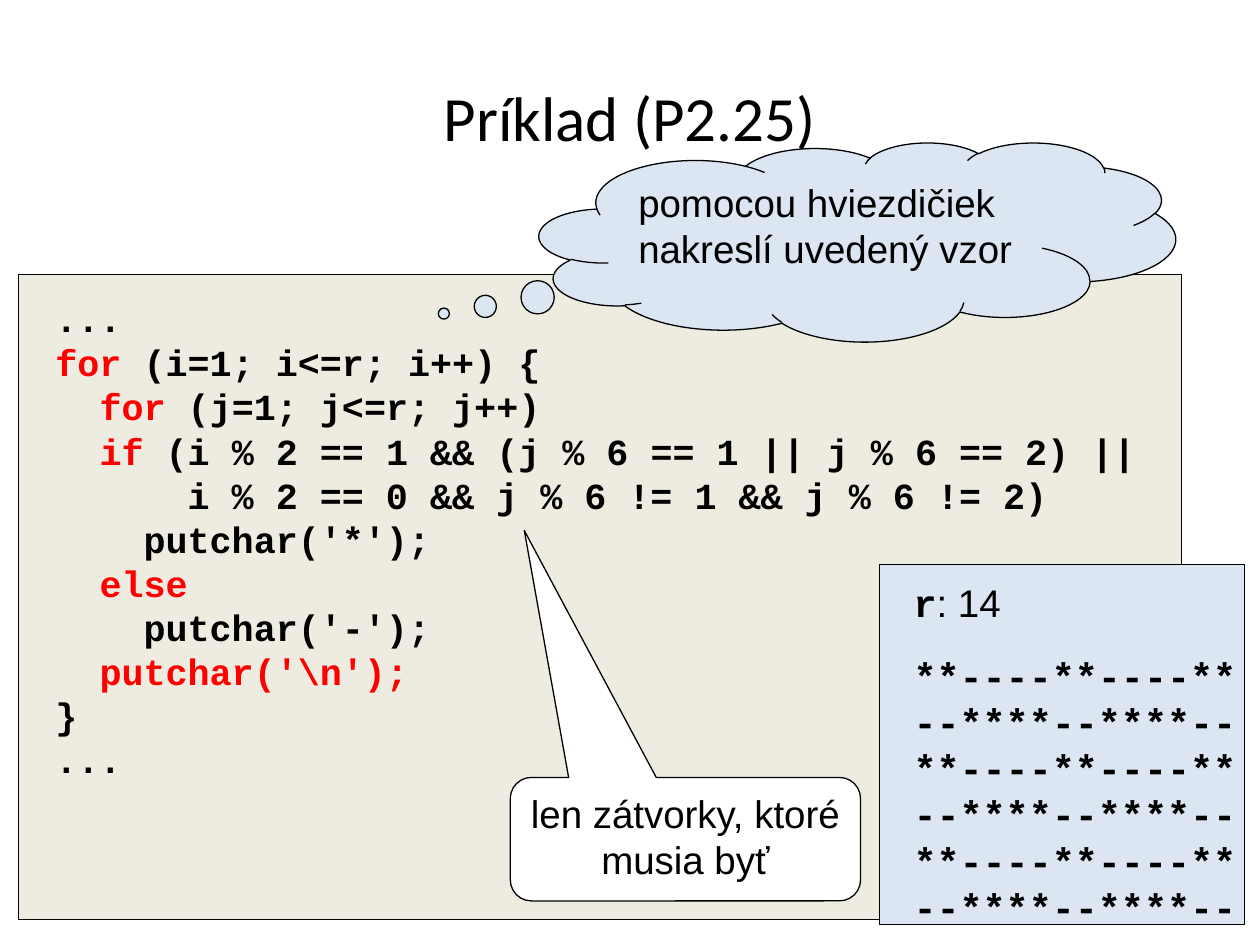
from typing import NamedTuple

from pptx import Presentation
from pptx.dml.color import RGBColor
from pptx.enum.shapes import MSO_SHAPE
from pptx.enum.text import MSO_ANCHOR, PP_ALIGN
from pptx.util import Inches, Pt

RECTANGLE = MSO_SHAPE.RECTANGLE
CLOUD = MSO_SHAPE.CLOUD_CALLOUT
SPEECH = MSO_SHAPE.ROUNDED_RECTANGULAR_CALLOUT
LEFT, CENTER = PP_ALIGN.LEFT, PP_ALIGN.CENTER
TOP, MIDDLE = MSO_ANCHOR.TOP, MSO_ANCHOR.MIDDLE

BLACK, WHITE, RED = "000000", "FFFFFF", "FF0000"
BEIGE, PALE_BLUE = "EEECE1", "DCE6F2"
SANS, MONO = "Arial", "Courier New"


class Box(NamedTuple):
    left: float
    top: float
    width: float
    height: float


class CodeLine(NamedTuple):
    """A line of code: plain indent, red part, black remainder."""
    indent: str
    red: str
    rest: str


CODE = [
    CodeLine("", "", "..."),
    CodeLine("", "for", " (i=1; i<=r; i++) {"),
    CodeLine("  ", "for", " (j=1; j<=r; j++)"),
    CodeLine("  ", "if ", "(i % 2 == 1 && (j % 6 == 1 || j % 6 == 2) ||"),
    CodeLine("      ", "", "i % 2 == 0 && j % 6 != 1 && j % 6 != 2)"),
    CodeLine("    ", "", "putchar('*');"),
    CodeLine("  ", "else", ""),
    CodeLine("    ", "", "putchar('-');"),
    CodeLine("  ", "putchar('\\n');", ""),
    CodeLine("", "", "}"),
    CodeLine("", "", "..."),
]
PATTERN = ["**----**----**", "--****--****--"] * 3


def rgb(colour: str) -> RGBColor:
    return RGBColor.from_string(colour)


def set_font(target, size: float, name: str, bold: bool = False) -> None:
    font = target.font
    font.size, font.name, font.bold = Pt(size), name, bold
    font.color.rgb = rgb(BLACK)


def set_frame(frame, wrap: bool, anchor) -> None:
    frame.word_wrap = wrap
    frame.vertical_anchor = anchor
    frame.margin_left = frame.margin_right = Inches(0.09)
    frame.margin_top = frame.margin_bottom = Inches(0.05)


def add_panel(slide, kind, box: Box, fill: str, adjustments=()):
    panel = slide.shapes.add_shape(kind, *map(Inches, box))
    panel.shadow.inherit = False
    panel.fill.solid()
    panel.fill.fore_color.rgb = rgb(fill)
    panel.line.color.rgb = rgb(BLACK)
    panel.line.width = Pt(0.75)
    for index, value in enumerate(adjustments):
        panel.adjustments[index] = value
    return panel


def add_callout(slide, kind, box: Box, fill: str, adjustments, text: str, align) -> None:
    frame = add_panel(slide, kind, box, fill, adjustments).text_frame
    set_frame(frame, True, TOP)
    paragraph = frame.paragraphs[0]
    paragraph.text = text
    paragraph.alignment = align
    set_font(paragraph, 22, SANS)


def add_text_frame(slide, box: Box, wrap: bool = False, anchor=TOP):
    frame = slide.shapes.add_textbox(*map(Inches, box)).text_frame
    set_frame(frame, wrap, anchor)
    return frame


def add_title(slide, text: str) -> None:
    title = add_text_frame(slide, Box(0.5, 0.3, 9, 1.25), True, MIDDLE).paragraphs[0]
    title.text = text
    title.alignment = CENTER
    set_font(title, 36, "Calibri")


def add_code(slide) -> None:
    add_panel(slide, RECTANGLE, Box(0.15, 2.18, 9.23, 5.12), BEIGE)
    frame = add_text_frame(slide, Box(0.35, 2.3, 8.93, 4.29))
    for number, line in enumerate(CODE):
        paragraph = frame.add_paragraph() if number else frame.paragraphs[0]
        set_font(paragraph, 21, MONO, True)
        for text, colour in zip(line, (BLACK, RED, BLACK)):
            if text:
                run = paragraph.add_run()
                run.text = text
                run.font.color.rgb = rgb(colour)


def add_output(slide) -> None:
    add_panel(slide, RECTANGLE, Box(6.98, 4.48, 2.9, 2.86), PALE_BLUE)
    frame = add_text_frame(slide, Box(7.16, 4.55, 3.11, 2.87))
    for text, name, bold in (("r", MONO, True), (": 14", SANS, False)):
        run = frame.paragraphs[0].add_run()
        run.text = text
        set_font(run, 22, name, bold)
    for number, row in enumerate(PATTERN):
        paragraph = frame.add_paragraph()
        paragraph.text = row
        set_font(paragraph, 22, MONO, True)
        if number == 0:
            paragraph.space_before = Pt(15)


def main() -> None:
    deck = Presentation()
    deck.slide_width, deck.slide_height = Inches(10), Inches(7.5)
    slide = deck.slides.add_slide(deck.slide_layouts[6])
    add_title(slide, "Príklad (P2.25)")
    add_code(slide)
    add_callout(slide, CLOUD, Box(4.28, 1.13, 5.05, 1.58), PALE_BLUE,
                (-0.65, 0.36), "pomocou hviezdičiek nakreslí uvedený vzor", LEFT)
    add_output(slide)
    add_callout(slide, SPEECH, Box(4.05, 6.17, 2.78, 0.98), WHITE,
                (-0.46, -2.5, 0.17), "len zátvorky, ktoré musia byť", CENTER)
    deck.save("out.pptx")


if __name__ == "__main__":
    main()
